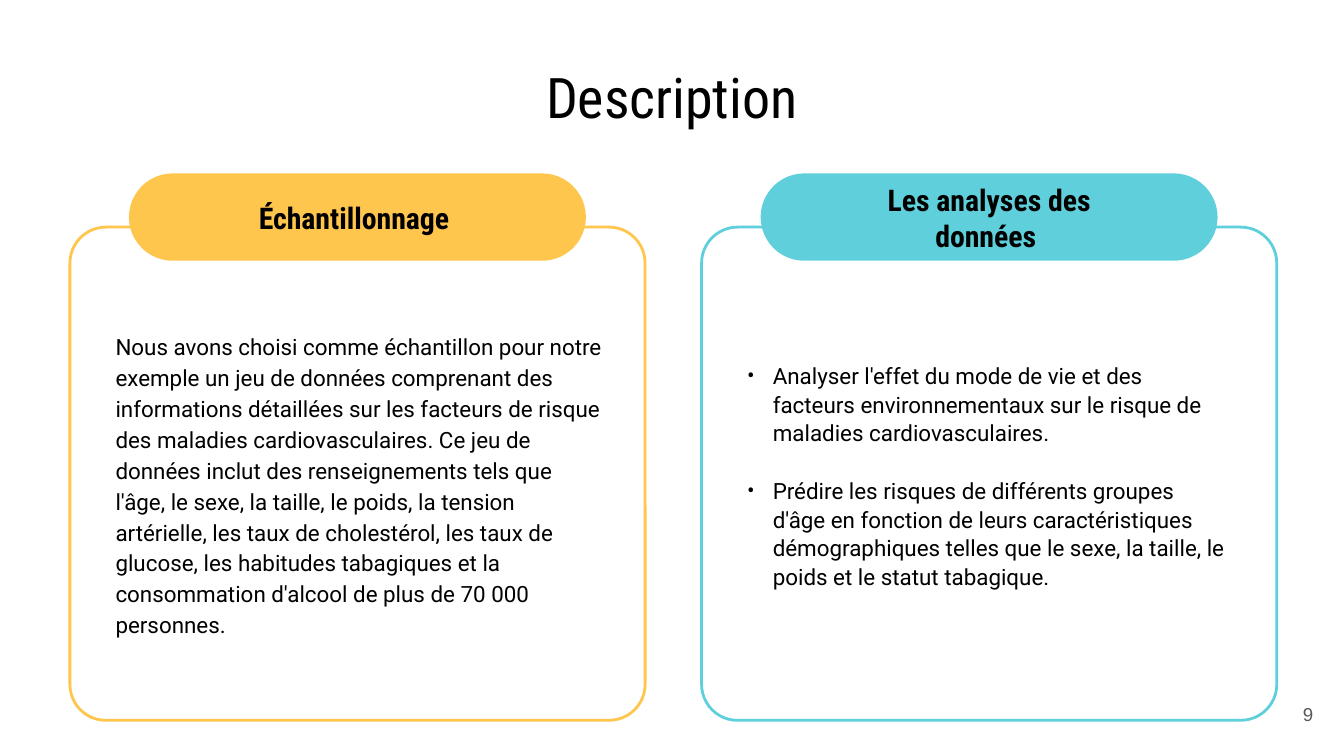
import pptx
import pptx.util
import pptx.dml.color
import pptx.enum.shapes
import pptx.enum.text
from lxml import etree

Inches, Pt = pptx.util.Inches, pptx.util.Pt
ALIGN = pptx.enum.text.PP_ALIGN
ROUND = pptx.enum.shapes.MSO_SHAPE.ROUNDED_RECTANGLE

# Content
COLORS = {"gold": "FFC64E", "teal": "5FD0DB", "white": "FFFFFF",
          "black": "000000", "gray": "595959"}
TITLE = "Description"
NUMBER = "9"
CARDS = [
    {"head": "Les analyses des données ", "color": "teal", "left": 5.22,
     "body": ["Analyser l'effet du mode de vie et des facteurs environnementaux "
              "sur le risque de maladies cardiovasculaires.",
              "Prédire les risques de différents groupes d'âge en fonction de "
              "leurs caractéristiques démographiques telles que le sexe, la "
              "taille, le poids et le statut tabagique."],
     "box": (5.36, 2.33, 3.98, 2.62),
     "form": {"space": 1.07, "bullet": "•", "gap": 15.4,
              "inset": (0.2, 0, 0.2, 0.21)}},
    {"head": "Échantillonnage ", "color": "gold", "left": 0.52,
     "body": ["Nous avons choisi comme échantillon pour notre exemple un jeu de "
              "données comprenant des informations détaillées sur les facteurs de "
              "risque des maladies cardiovasculaires. Ce jeu de données inclut des "
              "renseignements tels que l'âge, le sexe, la taille, le poids, la "
              "tension artérielle, les taux de cholestérol, les taux de glucose, "
              "les habitudes tabagiques et la consommation d'alcool de plus de "
              "70 000 personnes."],
     "box": (0.66, 2.25, 4.04, 2.7), "form": {"space": 1.15}},
]
SLIDE_W = 10
SLIDE_H = SLIDE_W * 9 / 16
CARD_W, CARD_H, CARD_TOP = 4.28, 3.67, 1.69
PILL_W, PILL_H, PILL_TOP = 3.4, 0.65, 1.29
HEAD_W, HEAD_H, HEAD_TOP = 2.48, 0.36, 1.44

deck = pptx.Presentation()
deck.slide_width, deck.slide_height = Inches(SLIDE_W), Inches(SLIDE_H)
slide = deck.slides.add_slide(deck.slide_layouts[6])


def rgb(name):
    return pptx.dml.color.RGBColor.from_string(COLORS[name])


def add_bullet(para, sign, font):
    props = para._p.get_or_add_pPr()
    props.set("marL", str(Inches(0.19)))
    props.set("indent", str(-Inches(0.19)))
    face = etree.SubElement(props, pptx.oxml.ns.qn("a:buFont"))
    face.set("typeface", font)
    mark = etree.SubElement(props, pptx.oxml.ns.qn("a:buChar"))
    mark.set("char", sign)


def add_text(lines, box, size=12, font="Roboto", color="black", bold=False,
             align=ALIGN.LEFT, inset=(0.2, 0, 0.2, 0), space=None,
             bullet=None, gap=0):
    frame = slide.shapes.add_textbox(*map(Inches, box)).text_frame
    frame.word_wrap = True
    frame.vertical_anchor = pptx.enum.text.MSO_ANCHOR.MIDDLE
    (frame.margin_left, frame.margin_top,
     frame.margin_right, frame.margin_bottom) = map(Inches, inset)
    for i, line in enumerate(lines):
        para = frame.add_paragraph() if i else frame.paragraphs[0]
        para.alignment = align
        if space:
            para.line_spacing = space
        if i:
            para.space_before = Pt(gap)
        if bullet:
            add_bullet(para, bullet, font)
        run = para.add_run()
        run.text = line
        run.font.size, run.font.name, run.font.bold = Pt(size), font, bold
        run.font.color.rgb = rgb(color)


def add_round(box, adjust, fill, line=None):
    shape = slide.shapes.add_shape(ROUND, *map(Inches, box))
    shape.shadow.inherit = False
    shape.adjustments[0] = adjust
    shape.fill.solid()
    shape.fill.fore_color.rgb = rgb(fill)
    if line:
        shape.line.color.rgb = rgb(line)
        shape.line.width = Pt(1.5)
    else:
        shape.line.fill.background()


# Cards: frame, pill and heading share one centre line
for card in CARDS:
    mid = card["left"] + CARD_W / 2
    add_round((card["left"], CARD_TOP, CARD_W, CARD_H), 0.073, "white", card["color"])
    add_round((mid - PILL_W / 2, PILL_TOP, PILL_W, PILL_H), 0.5, card["color"])
    add_text([card["head"]], (mid - HEAD_W / 2, HEAD_TOP, HEAD_W, HEAD_H), size=16,
             font="Roboto Condensed", bold=True, align=ALIGN.CENTER)
    add_text(card["body"], card["box"], **card["form"])

# Title
add_text([TITLE], (0.5, 0.45, 9, 0.53), size=30, font="Roboto Condensed",
         align=ALIGN.CENTER, inset=(0.1,) * 4)

# Page number
add_text([NUMBER], (9.27, 5.1, 0.6, 0.43), size=10, font="Arial", color="gray",
         align=ALIGN.RIGHT, inset=(0.1,) * 4)

deck.save("out.pptx")
